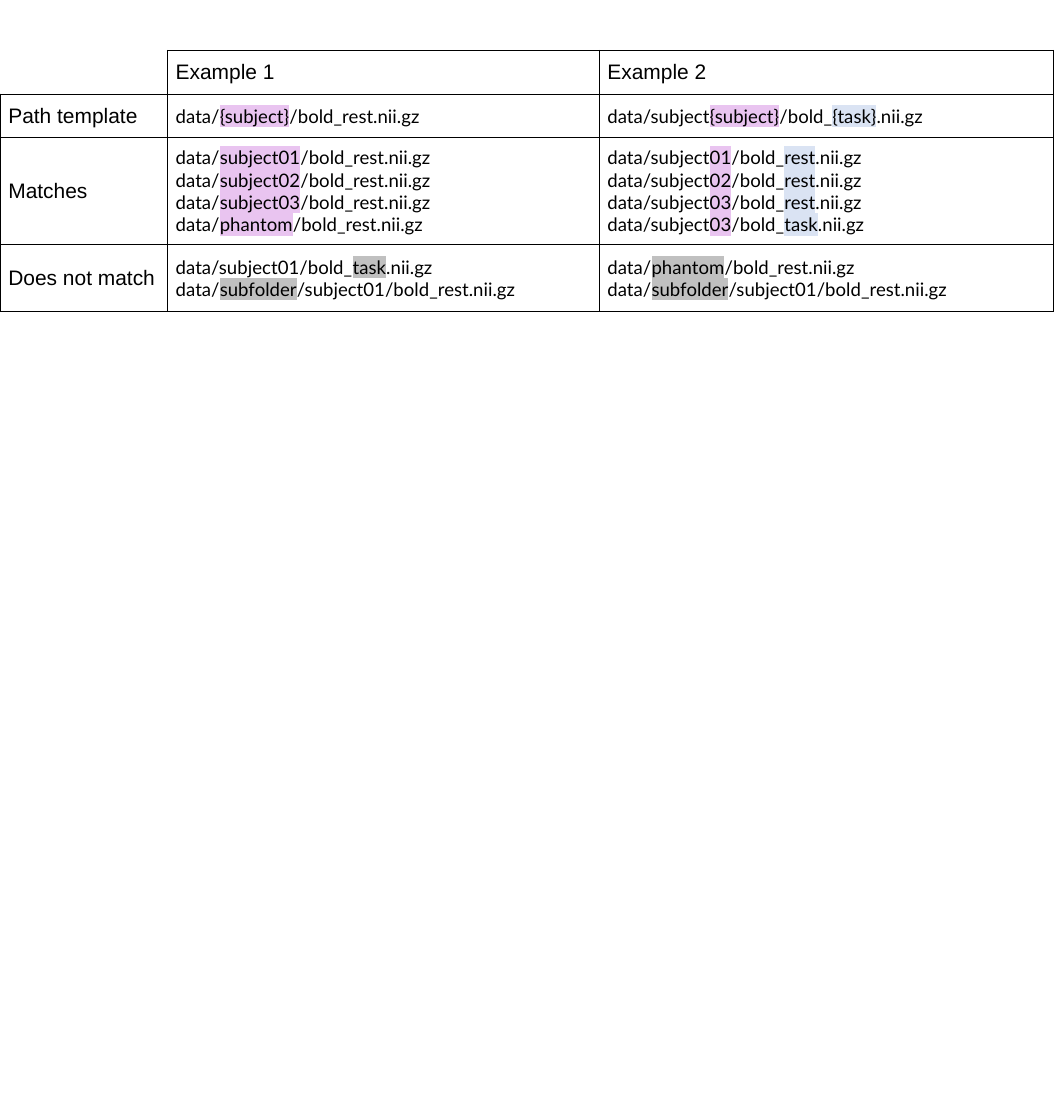
from dataclasses import dataclass

from lxml import etree
from pptx import Presentation
from pptx.dml.color import RGBColor
from pptx.enum import text
from pptx.oxml import ns
from pptx.util import Pt

# A path is a list of (words, role) spans; the role picks the highlight.
REST = ("/bold_rest.nii.gz", None)
SUBFOLDER_PATH = [("data/", None), ("subfolder", "mismatch"),
                  ("/subject01/bold_rest.nii.gz", None)]


def subject_path(subject, role="subject"):
    return [("data/", None), (subject, role), REST]


def task_path(subject, task):
    return [("data/subject", None), (subject, "subject"), ("/bold_", None),
            (task, "task"), (".nii.gz", None)]


HEADINGS = ["", "Example 1", "Example 2"]
ROWS = [
    ("Path template",
     [subject_path("{subject}")],
     [task_path("{subject}", "{task}")]),
    ("Matches",
     [subject_path(name) for name in ("subject01", "subject02", "subject03", "phantom")],
     [task_path(*pair) for pair in
      (("01", "rest"), ("02", "rest"), ("03", "rest"), ("03", "task"))]),
    ("Does not match",
     [[("data/subject01/bold_", None), ("task", "mismatch"), (".nii.gz", None)],
      SUBFOLDER_PATH],
     [subject_path("phantom", "mismatch"), SUBFOLDER_PATH]),
]

PAGE_SIZE = (453.54, 481.89)
TABLE_TOP = 21.7
COLUMN_WIDTHS = [72, 185.8, 195.74]
ROW_HEIGHTS = [18.8, 18.7, 46, 28.9]
INSET = 3.6


@dataclass(frozen=True)
class Theme:
    label: tuple = ("Arial", 9)
    path_text: tuple = ("Lato", 8)
    ink: str = "000000"
    border: float = 0.5
    subject: str = "E9C4F0"
    task: str = "DAE3F3"
    mismatch: str = "C0C0C0"


THEME = Theme()


def add_color(parent, color):
    etree.SubElement(parent, ns.qn("a:srgbClr"), val=color)


def add_span(para, words, face, role=None):
    span = para.add_run()
    span.text = words
    font = span.font
    font.color.rgb = RGBColor.from_string(THEME.ink)
    if role:
        highlight = etree.SubElement(font._element, ns.qn("a:highlight"))
        add_color(highlight, getattr(THEME, role))
    font.name, font.size = face[0], Pt(face[1])


def set_borders(cell, hidden):
    properties = cell._tc.get_or_add_tcPr()
    for side in "LRTB":
        line = etree.SubElement(properties, ns.qn(f"a:ln{side}"),
                                w=str(Pt(THEME.border)))
        if side in hidden:
            etree.SubElement(line, ns.qn("a:noFill"))
        else:
            add_color(etree.SubElement(line, ns.qn("a:solidFill")), THEME.ink)


def style_cell(cell, hidden=""):
    set_borders(cell, hidden)
    cell.fill.background()
    cell.vertical_anchor = text.MSO_ANCHOR.MIDDLE
    cell.margin_left = cell.margin_right = Pt(INSET)
    cell.margin_top = cell.margin_bottom = Pt(INSET)


def write_label(cell, words):
    para = cell.text_frame.paragraphs[0]
    if words:
        add_span(para, words, THEME.label)
    else:  # keeps the empty corner from stretching its row
        etree.SubElement(para._p, ns.qn("a:endParaRPr"), sz=str(THEME.label[1] * 100))


def write_paths(cell, paths):
    frame = cell.text_frame
    for index, spans in enumerate(paths):
        para = frame.add_paragraph() if index else frame.paragraphs[0]
        for words, role in spans:
            add_span(para, words, THEME.path_text, role)


def add_example_table(page):
    frame = page.shapes.add_table(
        len(ROW_HEIGHTS), len(COLUMN_WIDTHS), Pt(0), Pt(TABLE_TOP),
        Pt(sum(COLUMN_WIDTHS)), Pt(sum(ROW_HEIGHTS)))
    table = frame.table
    table.first_row = table.horz_banding = False
    for column, width in zip(table.columns, COLUMN_WIDTHS):
        column.width = Pt(width)
    for row, height in zip(table.rows, ROW_HEIGHTS):
        row.height = Pt(height)

    for row, contents in enumerate([HEADINGS, *ROWS]):
        for column, content in enumerate(contents):
            cell = table.cell(row, column)
            style_cell(cell, hidden="LT" if row == column == 0 else "")
            write = write_label if isinstance(content, str) else write_paths
            write(cell, content)


def main():
    deck = Presentation()
    deck.slide_width, deck.slide_height = map(Pt, PAGE_SIZE)
    page = deck.slides.add_slide(deck.slide_layouts[6])
    add_example_table(page)
    deck.save("out.pptx")


if __name__ == "__main__":
    main()
